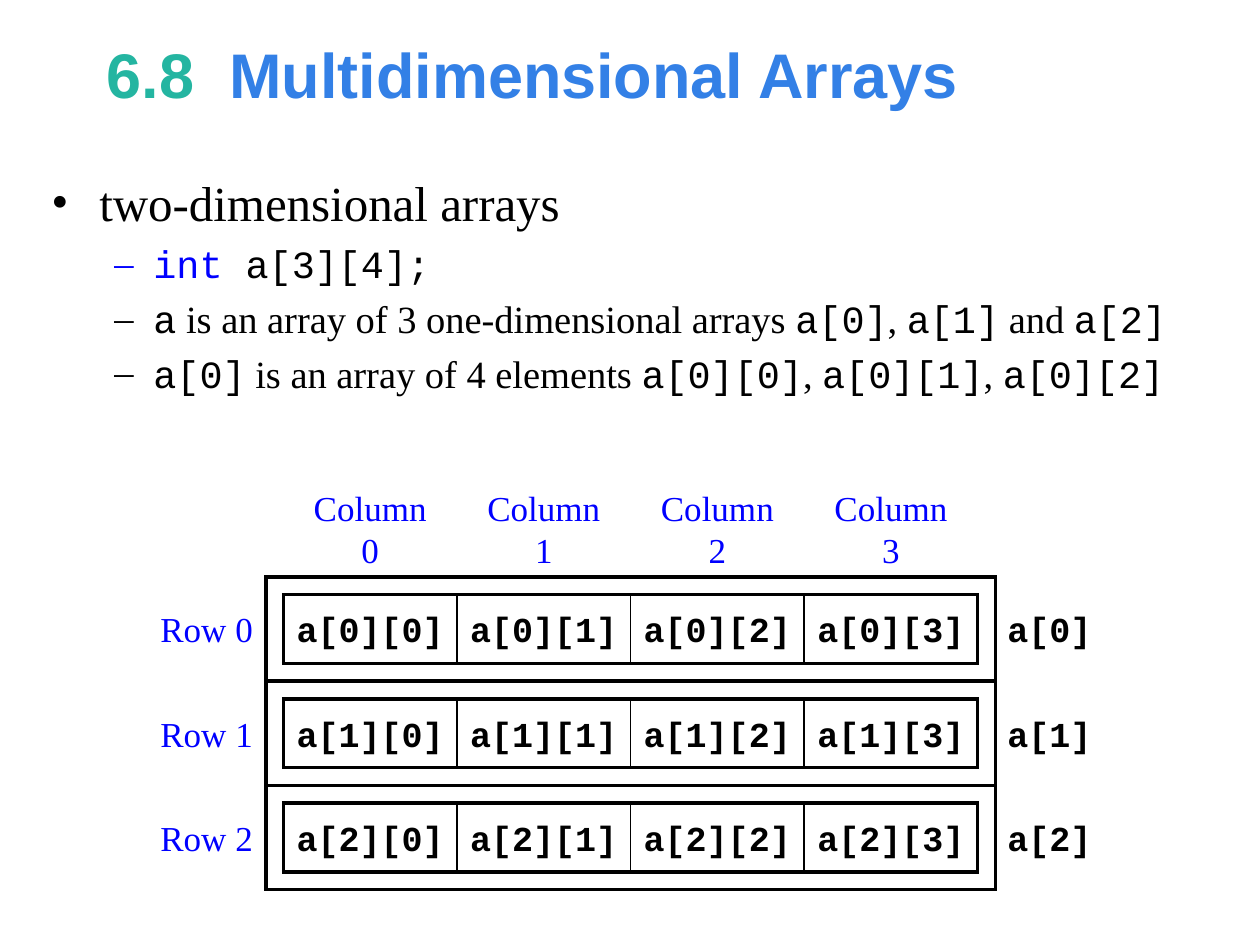
from pptx import Presentation
from pptx.dml.color import RGBColor
from pptx.enum.text import MSO_ANCHOR as Anchor, PP_ALIGN as Align
from pptx.oxml.ns import qn
from pptx.util import Inches, Pt
from lxml.etree import SubElement

COLORS = {"black": "000000", "blue": "0000FF", "number": "24B5A1", "title": "3380E6"}
SANS, SERIF, MONO = "Arial", "Times New Roman", "Courier New"
ROWS, COLUMNS = 3, 4
THICK, THIN = 2.25, 1

# Kinds of run in the bullets: font and colour
STYLES = {
    "text": (SERIF, "black"),
    "code": (MONO, "black"),
    "keyword": (MONO, "blue"),
}
BULLETS = [
    (0, [("text", "two-dimensional arrays")]),
    (1, [("keyword", "int"), ("code", " a[3][4];")]),
    (1, [("code", "a"), ("text", " is an array of 3 one-dimensional arrays "),
         ("code", "a[0]"), ("text", ", "), ("code", "a[1]"), ("text", " and "),
         ("code", "a[2]")]),
    (1, [("code", "a[0]"), ("text", " is an array of 4 elements "),
         ("code", "a[0][0]"), ("text", ", "), ("code", "a[0][1]"), ("text", ", "),
         ("code", "a[0][2]")]),
]
# Bullet levels: character, text size, left margin, hanging indent
LEVELS = [("•", 28, 0.38, 0.38), ("–", 22, 0.81, 0.31)]


def style_font(font, name, size, color, bold=False):
    font.name, font.size, font.bold = name, Pt(size), bold
    font.color.rgb = RGBColor.from_string(COLORS[color])


def add_text_frame(slide, left, top, width, height, wrap=True):
    box = slide.shapes.add_textbox(*map(Inches, (left, top, width, height)))
    box.text_frame.word_wrap = wrap
    return box.text_frame


def add_run(paragraph, text, *style):
    run = paragraph.add_run()
    run.text = text
    style_font(run.font, *style)


def add_title(slide, left, top, width, height):
    text_frame = add_text_frame(slide, left, top, width, height)
    text_frame.vertical_anchor = Anchor.MIDDLE
    paragraph = text_frame.paragraphs[0]
    add_run(paragraph, "6.8  ", SANS, 36, "number", True)
    add_run(paragraph, "Multidimensional Arrays", SANS, 36, "title", True)


def add_bullets(slide, left, top, width, height):
    text_frame = add_text_frame(slide, left, top, width, height)
    text_frame.margin_top = Inches(0.1)
    for index, (level, runs) in enumerate(BULLETS):
        paragraph = text_frame.add_paragraph() if index else text_frame.paragraphs[0]
        character, size, margin, hanging = LEVELS[level]
        paragraph.level = level
        properties = paragraph._p.get_or_add_pPr()
        properties.set("marL", str(Inches(margin)))
        properties.set("indent", str(-Inches(hanging)))
        SubElement(properties, qn("a:buFont"), typeface=SERIF)
        SubElement(properties, qn("a:buChar"), char=character)
        if index:
            paragraph.space_before = Pt(5)
        for kind, text in runs:
            font_name, color = STYLES[kind]
            add_run(paragraph, text, font_name, size, color)


def set_borders(cell, **widths):
    """Draw black borders; widths are points by side: L, R, T, B."""
    properties = cell._tc.get_or_add_tcPr()
    for side in "LRTB":
        line = SubElement(properties, qn(f"a:ln{side}"), w=str(Pt(widths[side])))
        fill = SubElement(line, qn("a:solidFill"))
        SubElement(fill, qn("a:srgbClr"), val=COLORS["black"])


def add_grid(slide, left, top, width, height, rows, columns):
    """Add an open table with a thick frame and thin column dividers."""
    frame = slide.shapes.add_table(rows, columns, *map(Inches, (left, top, width, height)))
    table = frame.table
    table.first_row = table.horz_banding = False
    for row in table.rows:
        for index, cell in enumerate(row.cells):
            set_borders(cell, T=THICK, B=THICK,
                        L=THIN if index else THICK,
                        R=THIN if index < columns - 1 else THICK)
            cell.fill.background()


def add_label(slide, text, center_x, center_y, width, code=False):
    height = 0.43
    text_frame = add_text_frame(slide, center_x - width / 2, center_y - height / 2,
                                width, height, wrap=False)
    text_frame.vertical_anchor = Anchor.BOTTOM
    text_frame.text = text
    paragraph = text_frame.paragraphs[0]
    paragraph.alignment = Align.CENTER
    name, color = (MONO, "black") if code else (SERIF, "blue")
    style_font(paragraph.runs[0].font, name, 20, color, code)


def add_array_diagram(slide, left, top, width, height):
    gap = 0.14
    row_height = height / ROWS
    column_width = (width - 2 * gap) / COLUMNS
    centers_x = [left + gap + (column + 0.5) * column_width for column in range(COLUMNS)]

    add_grid(slide, left, top, width, height, ROWS, 1)
    for column, center_x in enumerate(centers_x):
        add_label(slide, f"Column {column}", center_x, top - 0.22, 1.3)
    for row in range(ROWS):
        row_top = top + row * row_height
        center_y = row_top + row_height / 2
        add_grid(slide, left + gap, row_top + gap, width - 2 * gap,
                 row_height - 2 * gap, 1, COLUMNS)
        for column, center_x in enumerate(centers_x):
            add_label(slide, f"a[{row}][{column}]", center_x, center_y, 1.37, code=True)
        add_label(slide, f"Row {row}", left - 0.47, center_y, 0.94)
        add_label(slide, f"a[{row}]", left + width + 0.43, center_y, 0.87, code=True)


def main():
    presentation = Presentation()
    presentation.slide_width, presentation.slide_height = Inches(10), Inches(7.5)
    slide = presentation.slides.add_slide(presentation.slide_layouts[6])
    add_title(slide, 0.75, 0.17, 8.5, 0.83)
    add_bullets(slide, 0.31, 1.27, 9.37, 1.93)
    add_array_diagram(slide, 2.11, 4.58, 5.79, 2.48)
    presentation.save("out.pptx")


if __name__ == "__main__":
    main()
